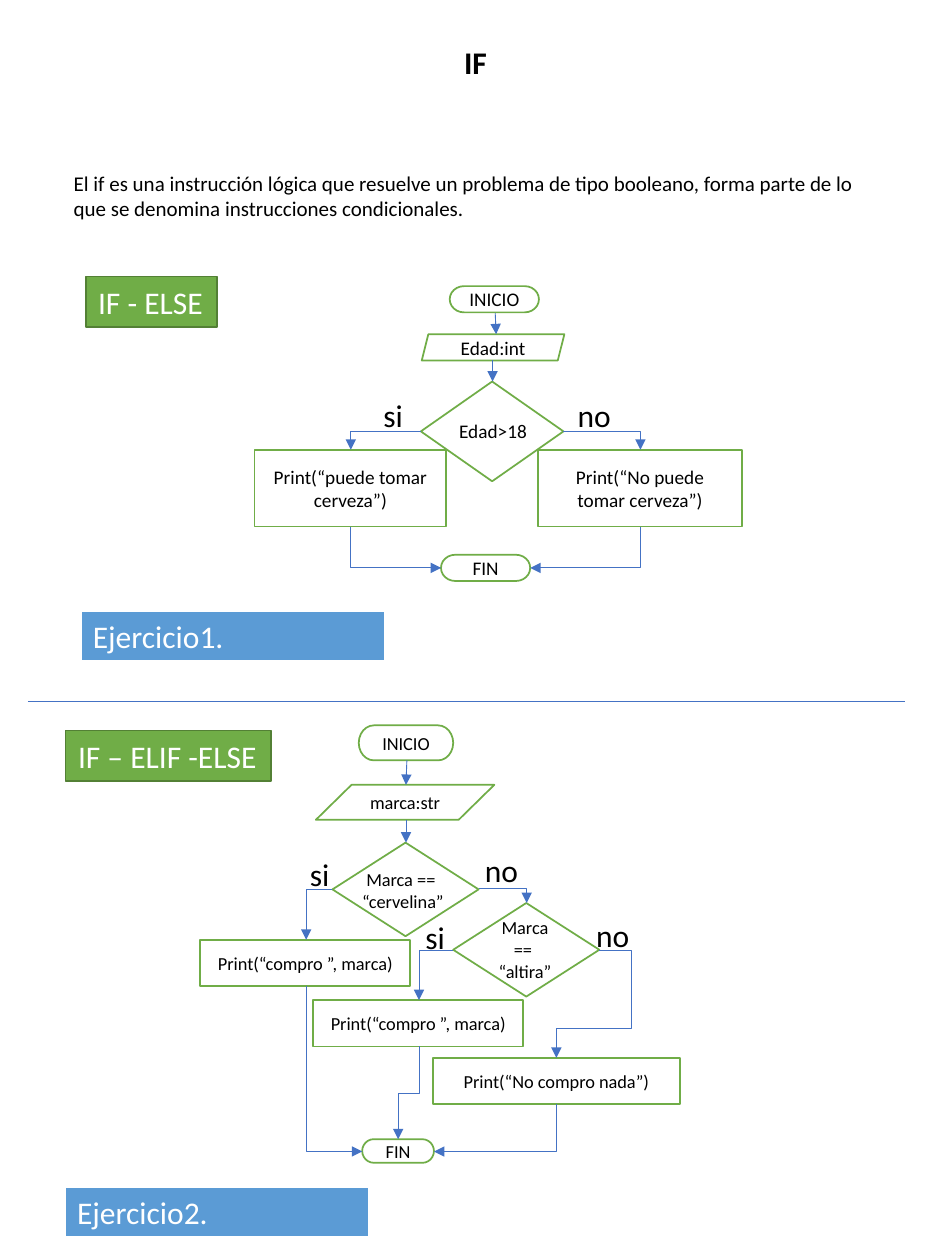
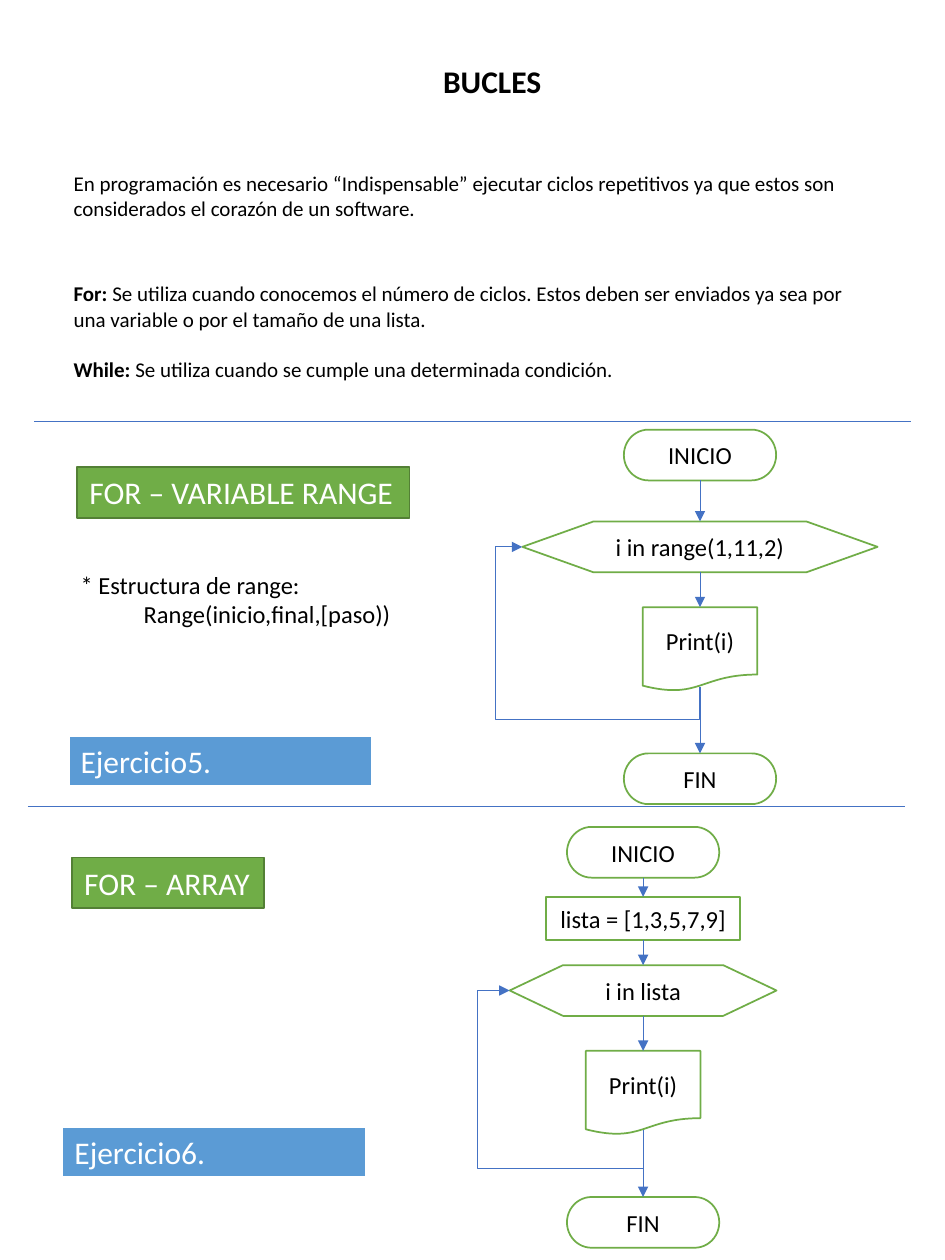
from lxml import etree
from pptx import Presentation
from pptx.dml.color import RGBColor
from pptx.enum import shapes, text
from pptx.oxml import ns
from pptx.util import Pt

KIND = shapes.MSO_SHAPE
END, BOX, TEST = KIND.FLOWCHART_TERMINATOR, KIND.RECTANGLE, KIND.FLOWCHART_DECISION
SLANT, DATA = KIND.PARALLELOGRAM, KIND.FLOWCHART_DATA
LOOP, DOC = KIND.FLOWCHART_PREPARATION, KIND.FLOWCHART_DOCUMENT


class Theme:
    font = "Calibri"
    ink, paper, wire = "000000", "FFFFFF", "4472C4"
    green, dark, blue = "70AD47", "538035", "5B9BD5"
    head, large, body, mid, small = 18, 14, 12, 11, 10.5
    thin = 0.5
    node = (paper, green, 1, ink)
    tag = (green, dark, 1, paper)
    bar = (blue, paper, 1.5, paper)


def put(slide, kind, box, words, size, look=None):
    x, y, w, h = map(Pt, box)
    node = look is Theme.node
    if kind == "title":
        item = slide.shapes.title
        item.left, item.top, item.width, item.height = x, y, w, h
    elif kind is None:
        item = slide.shapes.add_textbox(x, y, w, h)
    else:
        item = slide.shapes.add_shape(kind, x, y, w, h)
        item.shadow.inherit = False
        item.fill.solid()
        item.fill.fore_color.rgb = RGBColor.from_string(look[0])
        item.line.color.rgb = RGBColor.from_string(look[1])
        item.line.width = Pt(look[2])
    frame = item.text_frame
    frame.text = words
    frame.auto_size = text.MSO_AUTO_SIZE.NONE
    frame.word_wrap = kind in (None, "title") or (node and kind == BOX)
    frame.vertical_anchor = text.MSO_ANCHOR.MIDDLE if node else text.MSO_ANCHOR.TOP
    for para in frame.paragraphs:
        para.alignment = text.PP_ALIGN.CENTER if node else text.PP_ALIGN.LEFT
        for run in para.runs:
            run.font.name = Theme.font
            run.font.size = Pt(size)
            run.font.bold = kind == "title"
            run.font.color.rgb = RGBColor.from_string(look[3] if look else Theme.ink)
    return frame


def link(slide, *dots, tip=True):
    (ax, ay), (bx, by) = dots[0], dots[-1]
    gap = (bx - ax, by - ay)
    bent = len(dots) > 2
    if bent:
        turn = int(dots[0][0] == dots[1][0])
        w, h = abs(gap[turn]), abs(gap[1 - turn])
        x, y = (ax + bx - w) / 2, (ay + by - h) / 2
        wire = slide.shapes.add_connector(
            shapes.MSO_CONNECTOR.ELBOW, Pt(x), Pt(y), Pt(x + w), Pt(y + h))
        props = wire.element.spPr
        form = props.find(ns.qn("a:xfrm"))
        back = turn and gap[0] > 0
        if turn:
            form.set("rot", "16200000" if back else "5400000")
        if (gap[turn] < 0) != bool(back):
            form.set("flipH", "1")
        if not turn and gap[1] < 0:
            form.set("flipV", "1")
        geom = props.find(ns.qn("a:prstGeom"))
        geom.set("prst", f"bentConnector{len(dots) - 1}")
        for step in range(1, len(dots) - 2):
            axis = turn if step == 1 else 1 - turn
            part = (dots[step][axis] - dots[0][axis]) / gap[axis]
            etree.SubElement(geom.find(ns.qn("a:avLst")), ns.qn("a:gd"),
                             name=f"adj{step}", fmla=f"val {round(part * 100000)}")
        if len(dots) == 4:
            geom.find(ns.qn("a:avLst"))[0].set("name", "adj1")
    else:
        wire = slide.shapes.add_connector(
            shapes.MSO_CONNECTOR.STRAIGHT, Pt(ax), Pt(ay), Pt(bx), Pt(by))
        props = wire.element.spPr
    wire.line.color.rgb = RGBColor.from_string(Theme.wire)
    wire.line.width = Pt(Theme.thin)
    if tip:
        etree.SubElement(props.find(ns.qn("a:ln")), ns.qn("a:tailEnd"), type="triangle")
    etree.SubElement(props, ns.qn("a:effectLst"))


deck = Presentation()
deck.slide_width, deck.slide_height = Pt(540), Pt(720)

pages = [
    ("IF", (258, 21, 47, 29),
     "El if es una instrucción lógica que resuelve un problema de tipo booleano, "
     "forma parte de lo que se denomina instrucciones condicionales.",
     [("IF - ELSE", 49, 158, 75), ("IF – ELIF -ELSE", 37.5, 417.5, 117.5)],
     [("Ejercicio1.", 46, 349), ("Ejercicio2.", 37, 678)],
     [(16, 401)]),
    ("BUCLES", (246, 32, 153, 29),
     "En programación es necesario “Indispensable” ejecutar ciclos repetitivos "
     "ya que estos son considerados el corazón de un software.",
     [("FOR – VARIABLE RANGE", 44, 267, 190), ("FOR – ARRAY", 41, 490, 110)],
     [("Ejercicio5.", 39, 420.5), ("Ejercicio6.", 35.5, 644)],
     [(19.5, 241), (16, 461)]),
]
made = []
for title, box, intro, tags, bars, rules in pages:
    slide = deck.slides.add_slide(deck.slide_layouts[5])
    put(slide, "title", box, title, Theme.head)
    put(slide, None, (35, 94, 481, 36), intro, Theme.body)
    for words, x, y, w in tags:
        put(slide, BOX, (x, y, w, 29), words, Theme.head, Theme.tag)
    for words, x, y in bars:
        put(slide, BOX, (x, y, 174, 29), words, Theme.head, Theme.bar)
    for x, y in rules:
        link(slide, (x, y), (x + 501, y), tip=False)
    made.append(slide)
first, second = made

flows = [
    (Theme.mid, [
        (END, (257, 163.5, 51, 15), "INICIO"),
        (SLANT, (241, 191, 81.5, 15), "Edad:int"),
        (TEST, (240.5, 218, 81.5, 57), ""),
        (BOX, (145.5, 257, 109.5, 44), "Print(“puede tomar cerveza”)"),
        (BOX, (307.5, 257, 116.5, 44), "Print(“No puede tomar cerveza”)"),
        (END, (252, 317, 51, 15), "FIN"),
    ], [
        [(283, 179), (283.5, 191)],
        [(281.5, 206), (281.5, 218)],
        [(322, 246.5), (366, 246.5), (366, 257)],
        [(240.5, 246.5), (200.5, 246.5), (200.5, 257)],
        [(200.5, 301), (200.5, 324.5), (252, 324.5)],
        [(366, 301), (366, 324.5), (303, 324.5)],
    ], [("si", 212, 223), ("no", 323, 223)]),
    (Theme.small, [
        (END, (205, 414.5, 54, 20), "INICIO"),
        (END, (207, 651, 41, 13.5), "FIN"),
        (DATA, (180.5, 448.5, 102, 20), "marca:str"),
        (TEST, (190, 481.5, 83.5, 53.5), ""),
        (TEST, (259, 516, 83.5, 53.5), ""),
        (BOX, (247.5, 604.5, 141, 26.5), "Print(“No compro nada”)"),
        (BOX, (179, 571.5, 120, 26.5), "Print(“compro ”, marca)"),
        (BOX, (114.5, 537, 120, 26.5), "Print(“compro ”, marca)"),
    ], [
        [(232.5, 434.5), (232, 448.5)],
        [(232, 468.5), (232, 481.5)],
        [(190, 508), (175, 508), (175, 537)],
        [(273.5, 508), (301, 508), (301, 516)],
        [(259, 543), (239.5, 543), (239.5, 571.5)],
        [(342.5, 543), (361, 543), (361, 587.5), (318, 587.5), (318, 604.5)],
        [(175, 563.5), (175, 658), (207, 658)],
        [(318, 631), (318, 658), (248, 658)],
        [(239.5, 598), (239.5, 625), (227.5, 625), (227.5, 651)],
    ], [("si", 170, 485), ("si", 236, 521), ("no", 270, 483), ("no", 333.5, 520)]),
]
for size, nodes, wires, marks in flows:
    for kind, box, words in nodes:
        put(first, kind, box, words, size, Theme.node)
    for dots in wires:
        link(first, *dots)
    for words, x, y in marks:
        put(first, None, (x, y, 40, 29), words, Theme.head)

asks = [
    ("Edad>18", (254, 236, 55.5, 21), Theme.mid),
    ("Marca == \n“cervelina”", (196, 492.5, 68.5, 32.5), Theme.small),
    ("Marca == \n“altira”", (275, 520, 50, 45), Theme.small),
]
for words, box, size in asks:
    for para in put(first, None, box, words, size).paragraphs:
        para.alignment = text.PP_ALIGN.CENTER

notes = put(second, None, (35, 157, 454, 65.5),
            "For: \nWhile: ", Theme.body).paragraphs
uses = [
    "Se utiliza cuando conocemos el número de ciclos. Estos deben ser enviados "
    "ya sea por una variable o por el tamaño de una lista.",
    "Se utiliza cuando se cumple una determinada condición.",
]
for para, words in zip(notes, uses):
    para.runs[0].font.bold = True
    run = para.add_run()
    run.text = words
    run.font.name, run.font.size = Theme.font, Pt(Theme.body)
    run.font.color.rgb = RGBColor.from_string(Theme.ink)
notes[1].space_before = Pt(14.5)

hint = put(second, None, (39, 322, 216, 41),
           "* Estructura de range:\nRange(inicio,final,[paso))", Theme.large)
hint.paragraphs[1]._p.get_or_add_pPr().set("marL", str(Pt(36)))

loops = [
    (400, 245.5, 298, 203, "i in range(1,11,2)", 283, 113, None),
    (367.5, 472.5, 551.5, 152.5, "i in lista", 273, 116, "lista = [1,3,5,7,9]"),
]
for mid, top, y, w, words, side, low, data in loops:
    nodes = [
        (END, top, 87, 29, "INICIO"),
        (LOOP, y, w, 29, words),
        (DOC, y + 49, 65.5, 48, "Print(i)"),
        (END, y + 132.5, 87, 29, "FIN"),
    ]
    stops = [(top + 29, y), (y + 29, y + 49), (y + 94.5, y + 132.5)]
    if data:
        nodes.append((BOX, 512.5, 111, 24.5, data))
        stops[0] = (top + 29, 512.5)
        stops.append((537, y))
    for kind, at, wide, high, label in nodes:
        put(second, kind, (mid - wide / 2, at, wide, high), label, Theme.large, Theme.node)
    for start, stop in stops:
        link(second, (mid, start), (mid, stop))
    link(second, (mid, y + 94.5), (mid, y + low), (side, y + low),
         (side, y + 14.5), (mid - w / 2, y + 14.5))

deck.save("out.pptx")
